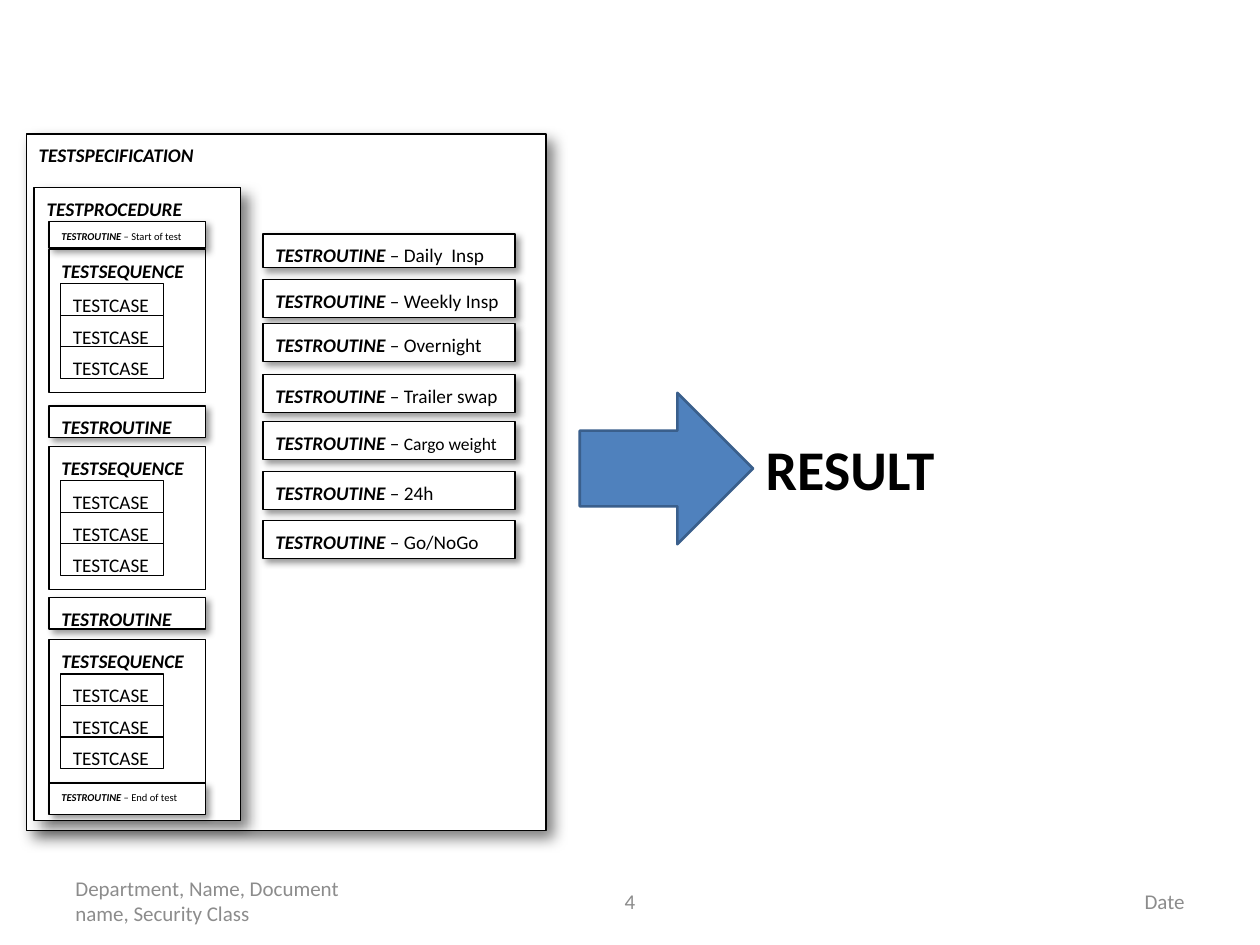
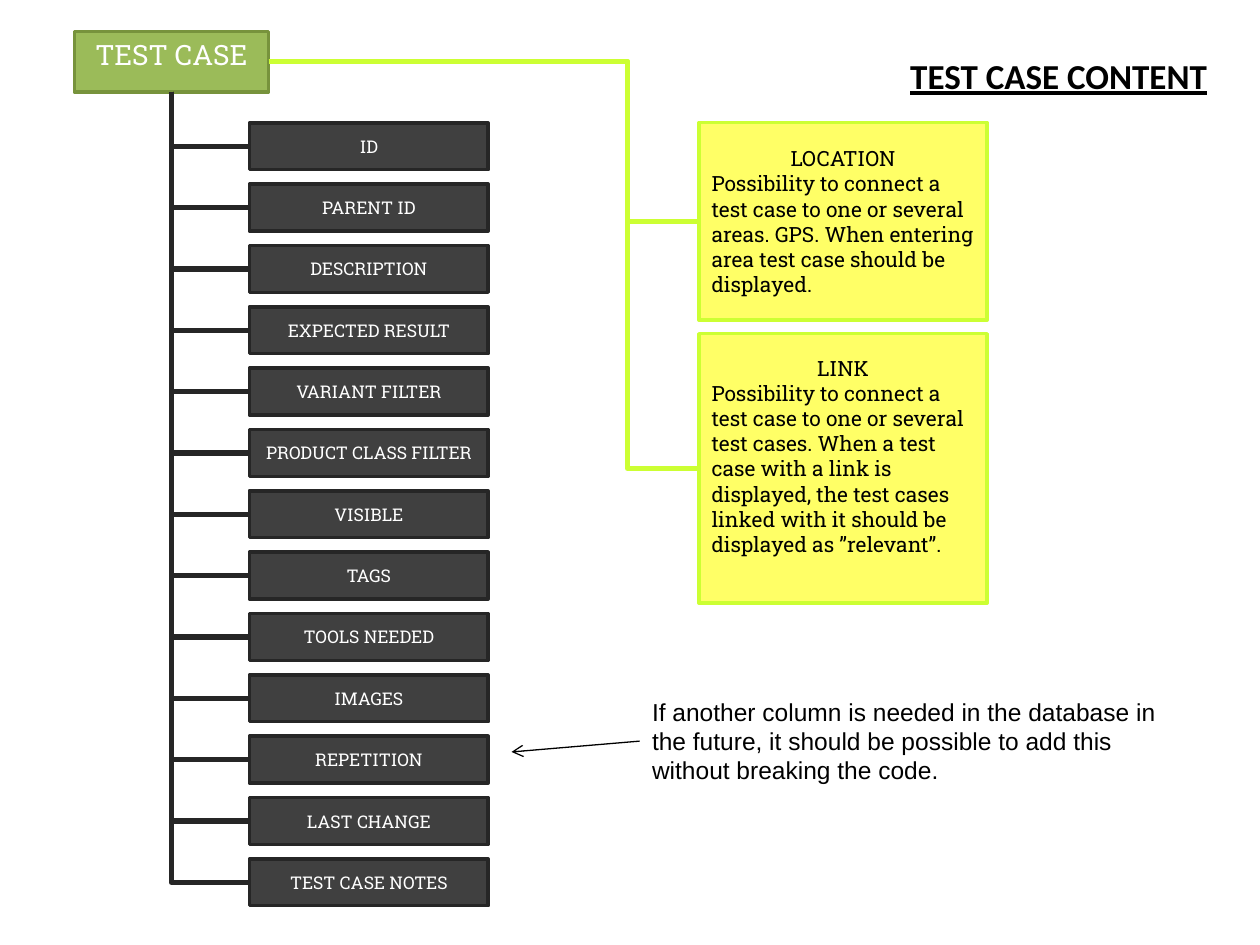
from lxml.etree import SubElement
from pptx import Presentation
from pptx.dml.color import RGBColor
from pptx.enum.shapes import MSO_CONNECTOR, MSO_SHAPE
from pptx.enum.text import MSO_ANCHOR, PP_ALIGN
from pptx.oxml.ns import qn
from pptx.util import Pt

COLORS = {
    "black": "000000", "white": "FFFFFF", "gray": "8C8C8C",
    "blue": "4F81BD", "navy": "3A5F8C",
    "dark": "404040", "darker": "262626",
    "green": "9BBB59", "olive": "77933C",
    "yellow": "FFFF66", "lime": "CCFF33",
}
LEFT, CENTER, RIGHT = PP_ALIGN.LEFT, PP_ALIGN.CENTER, PP_ALIGN.RIGHT
TOP, MIDDLE = MSO_ANCHOR.TOP, MSO_ANCHOR.MIDDLE
BOTTOM_SITE, LEFT_SITE, RIGHT_SITE = 2, 1, 3
LARGE_SHADOW = (50, 8, 6)
SMALL_SHADOW = (40, 4, 3)


def rgb(name):
    return RGBColor.from_string(COLORS[name])


class Deck:
    body = "Calibri"
    slab = "Roboto Slab"
    note = "Arial"

    def __init__(self):
        self.prs = Presentation()
        self.prs.slide_width, self.prs.slide_height = Pt(720), Pt(540)

    def slide(self):
        self.s = self.prs.slides.add_slide(self.prs.slide_layouts[6])

    def style(self, font, size, color="black", name=None, bold=False, italic=False):
        font.name, font.size = name or self.body, Pt(size)
        font.bold, font.italic = bold, italic
        font.color.rgb = rgb(color)

    def fill_text(self, sp, lines, anchor, size, color="black", name=None, bold=False):
        tf = sp.text_frame
        tf.word_wrap, tf.vertical_anchor = True, anchor
        for i, (text, align) in enumerate(lines):
            p = tf.paragraphs[0] if i == 0 else tf.add_paragraph()
            p.text, p.alignment = text, align
            self.style(p.font, size, color, name, bold)
        return tf

    def text(self, x, y, w, h, text, size, align=LEFT, anchor=TOP, **font):
        sp = self.s.shapes.add_textbox(Pt(x), Pt(y), Pt(w), Pt(h))
        return self.fill_text(sp, [(text, align)], anchor, size, **font)

    def shape(self, x, y, w, h, fill, line, width, kind=MSO_SHAPE.RECTANGLE, parent=None):
        sp = (parent or self.s).shapes.add_shape(kind, Pt(x), Pt(y), Pt(w), Pt(h))
        sp.shadow.inherit = False
        sp.fill.solid()
        sp.fill.fore_color.rgb = rgb(fill)
        sp.line.color.rgb, sp.line.width = rgb(line), Pt(width)
        return sp

    def shadow(self, sp, alpha, blur, dist):
        effects = sp._element.spPr.find(qn("a:effectLst"))
        outer = SubElement(effects, qn("a:outerShdw"), blurRad=str(Pt(blur)),
                           dist=str(Pt(dist)), dir="2700000", algn="tl", rotWithShape="0")
        color = SubElement(outer, qn("a:srgbClr"), val=COLORS["black"])
        SubElement(color, qn("a:alpha"), val=str(alpha * 1000))

    def paper(self, x, y, w, h, title, *plain, size=11, strong=True, shadow=None, parent=None):
        sp = self.shape(x, y, w, h, "white", "black", 0.75, parent=parent)
        if shadow:
            self.shadow(sp, *shadow)
        tf = sp.text_frame
        tf.word_wrap, tf.vertical_anchor = True, TOP
        p = tf.paragraphs[0]
        p.alignment, p.line_spacing, p.space_after = LEFT, 1.15, Pt(10)
        r = p.add_run()
        r.text = title
        self.style(r.font, size, bold=strong, italic=strong)
        for text, plain_size in plain:
            r = p.add_run()
            r.text = text
            self.style(r.font, plain_size)

    def sequence(self, y):
        group = self.s.shapes.add_group_shape()
        self.paper(28, y, 89.5, 82, "TESTSEQUENCE", parent=group)
        for i in range(3):
            self.paper(34.5, y + 19.7 + 18 * i, 59, 18, "TESTCASE", strong=False, parent=group)

    def card(self, x, y, w, h, lines, fill, line, size, color="white", anchor=MIDDLE):
        sp = self.shape(x, y, w, h, fill, line, 2)
        self.fill_text(sp, lines, anchor, size, color, self.slab)
        return sp

    def connector(self, kind, x1, y1, x2, y2, color, width):
        c = self.s.shapes.add_connector(kind, x1, y1, x2, y2)
        c.line.color.rgb, c.line.width = rgb(color), Pt(width)
        SubElement(c._element.spPr, qn("a:effectLst"))
        return c

    def elbow(self, start, start_site, end, color):
        x1, y1 = start.left + start.width, start.top + start.height // 2
        if start_site == BOTTOM_SITE:
            x1, y1 = start.left + start.width // 2, start.top + start.height
        c = self.connector(MSO_CONNECTOR.ELBOW, x1, y1, end.left,
                           end.top + end.height // 2, color, 3)
        c.begin_connect(start, start_site)
        c.end_connect(end, LEFT_SITE)
        return c

    def branch(self, start, end):
        c = self.elbow(start, BOTTOM_SITE, end, "darker")
        w, h = c.width, c.height
        c.left, c.top = c.left + (w - h) // 2, c.top + (h - w) // 2
        c.width, c.height = h, w
        spPr = c._element.spPr
        xfrm = spPr.find(qn("a:xfrm"))
        xfrm.set("rot", "16200000")
        xfrm.set("flipH", "1")
        spPr.find(qn("a:prstGeom")).set("prst", "bentConnector2")

    def side_branch(self, start, end):
        c = self.elbow(start, RIGHT_SITE, end, "lime")
        guides = c._element.spPr.find(qn("a:prstGeom")).find(qn("a:avLst"))
        SubElement(guides, qn("a:gd"), name="adj1", fmla="val 83400")

    def arrow(self, x1, y1, x2, y2):
        c = self.connector(MSO_CONNECTOR.STRAIGHT, Pt(x1), Pt(y1), Pt(x2), Pt(y2), "black", 0.75)
        SubElement(c.line._get_or_add_ln(), qn("a:tailEnd"), type="arrow")

    def footer(self, label, number, date):
        for x, w, text, align in ((36, 168, label, LEFT), (246, 228, number, CENTER),
                                  (516, 168, date, RIGHT)):
            self.text(x, 500.5, w, 28.75, text, 12, align, MIDDLE, color="gray")


def specification(d):
    d.slide()
    d.footer("Department, Name, Document name, Security Class", "4", "Date")
    d.shape(331.3, 224.5, 99, 86.5, "blue", "navy", 1.5, MSO_SHAPE.RIGHT_ARROW)
    d.text(430.5, 244.8, 241, 46, "RESULT", 32, bold=True)
    d.paper(15, 76.5, 297, 398, "TESTSPECIFICATION", shadow=LARGE_SHADOW)
    d.paper(19.5, 107.2, 118, 361.5, "TESTPROCEDURE", shadow=LARGE_SHADOW)
    for y in (142.5, 255, 365.5):
        d.sequence(y)
    for y in (232, 341.5):
        d.paper(28, y, 89.5, 18, "TESTROUTINE", shadow=SMALL_SHADOW)
    for y, h, text in ((126.7, 15, "Start of test"), (447.5, 18, "End of test")):
        d.paper(28, y, 89.5, h, "TESTROUTINE", (f" – {text}", 6), size=6, shadow=SMALL_SHADOW)
    for y, h, text, size in (
        (133.7, 19.4, "Daily  Insp", 11),
        (159.8, 21.7, "Weekly Insp", 11),
        (185, 21.7, "Overnight", 11),
        (214, 21.7, "Trailer swap", 11),
        (240.8, 21.7, "Cargo weight", 10),
        (269.5, 21.7, "24h", 11),
        (297.5, 21.7, "Go/NoGo", 11),
    ):
        d.paper(150.3, y, 144, h, "TESTROUTINE", (" – ", 11), (text, size), shadow=SMALL_SHADOW)


def case_content(d):
    d.slide()
    root = d.card(42.5, 18, 111, 34.5, [("TEST CASE", CENTER)], "green", "olive", 16, anchor=TOP)
    fields = ("ID", "PARENT ID", "DESCRIPTION", "EXPECTED RESULT", "VARIANT FILTER",
              "PRODUCT CLASS FILTER", "VISIBLE", "TAGS", "TOOLS NEEDED", "IMAGES",
              "REPETITION", "LAST CHANGE", "TEST CASE NOTES")
    for i, field in enumerate(fields):
        box = d.card(142.5, 70.2 + 35.05 * i, 136.5, 26.8, [(field, CENTER)],
                     "dark", "darker", 10)
        d.branch(root, box)
    for y, h, title, text, bottom in (
        (70, 113, "LOCATION",
         "Possibility to connect a test case to one or several areas. GPS. "
         "When entering area test case should be displayed.", 3.6),
        (190.7, 154, "LINK",
         "Possibility to connect a test case to one or several test cases. "
         "When a test case with a link is displayed, the test cases linked with it "
         "should be displayed as ”relevant”.", 18),
    ):
        box = d.card(399.5, y, 164.5, h, [(title, CENTER), (text, LEFT)],
                     "yellow", "lime", 12, "black")
        box.text_frame.margin_bottom = Pt(bottom)
        d.side_branch(root, box)
    d.text(365.5, 394.5, 306, 58.2, "If another column is needed in the database in the future, "
           "it should be possible to add this without breaking the code.", 14, name=d.note)
    d.arrow(365.5, 423.5, 292.3, 429.7)
    tf = d.text(456.5, 27.5, 240.5, 31.5, "TEST CASE CONTENT", 20, RIGHT, bold=True)
    tf.paragraphs[0].font.underline = True


deck = Deck()
specification(deck)
case_content(deck)
deck.prs.save("out.pptx")
